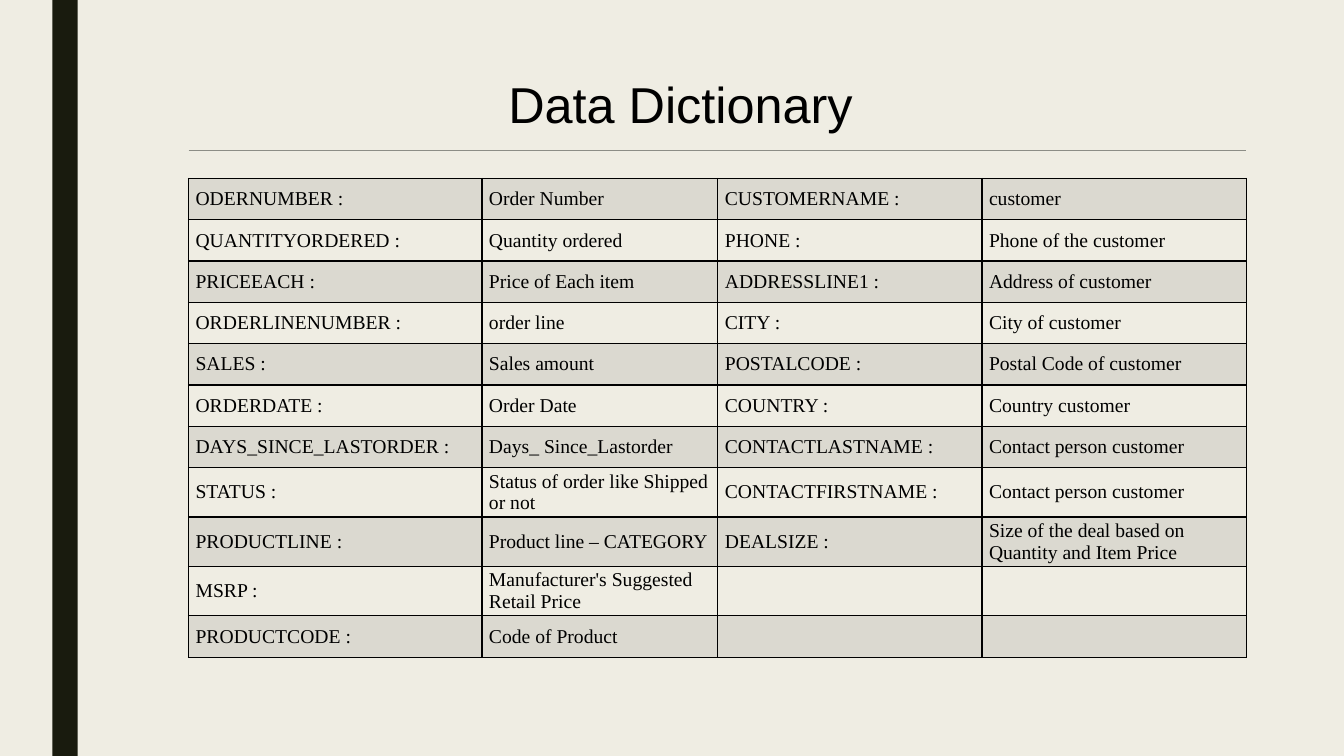
from lxml import etree
from pptx import Presentation
from pptx import util as u
from pptx.dml.color import RGBColor
from pptx.enum import shapes, text
from pptx.oxml.ns import qn

TITLE = "Data Dictionary"
FIELDS = [
    ("ODERNUMBER :", "Order Number", "CUSTOMERNAME :", "customer"),
    ("QUANTITYORDERED :", "Quantity ordered", "PHONE :", "Phone of the customer"),
    ("PRICEEACH :", "Price of Each item", "ADDRESSLINE1 :", "Address of customer"),
    ("ORDERLINENUMBER :", "order line", "CITY :", "City of customer"),
    ("SALES :", "Sales amount", "POSTALCODE :", "Postal Code of customer"),
    ("ORDERDATE :", "Order Date", "COUNTRY :", "Country customer"),
    ("DAYS_SINCE_LASTORDER :", "Days_ Since_Lastorder", "CONTACTLASTNAME :",
     "Contact person customer"),
    ("STATUS :", "Status of order like Shipped or not", "CONTACTFIRSTNAME :",
     "Contact person customer"),
    ("PRODUCTLINE :", "Product line – CATEGORY", "DEALSIZE :",
     "Size of the deal based on Quantity and Item Price"),
    ("MSRP :", "Manufacturer's Suggested Retail Price", "", ""),
    ("PRODUCTCODE :", "Code of Product", "", ""),
]
COLS = (2.91, 2.34, 2.62, 2.62)
HEAD_H, ROW_H = 0.28, 0.41
PAPER, DARK, GREY, BLACK = "EFEDE3", "191B0E", "8C8D86", "000000"
TITLE_FONT = {"name": "Arial", "size": u.Pt(36), "bold": False}
CELL_FONT = {"name": "Times New Roman", "size": u.Pt(14), "bold": False}
CELL_FORMAT = {
    "vertical_anchor": text.MSO_ANCHOR.MIDDLE,
    "margin_left": u.Inches(0.07), "margin_right": u.Inches(0.07),
    "margin_top": u.Inches(0.03), "margin_bottom": u.Inches(0.03),
}


def rgb(value):
    return RGBColor.from_string(value)


def apply(target, formats):
    for name, value in formats.items():
        setattr(target, name, value)


def write(p, words, font):
    r = p.add_run()
    r.text = words
    apply(r.font, font)
    r.font.color.rgb = rgb(BLACK)


def set_borders(cell, colors):
    """Colours run left, right, top, bottom; None hides the side."""
    tc_pr = cell._tc.get_or_add_tcPr()
    for i, (side, color) in enumerate(zip("LRTB", colors)):
        ln = etree.Element(qn(f"a:ln{side}"), w=str(u.Pt(1)))
        if color:
            fill = etree.SubElement(ln, qn("a:solidFill"))
            etree.SubElement(fill, qn("a:srgbClr"), val=color)
        else:
            etree.SubElement(ln, qn("a:noFill"))
        tc_pr.insert(i, ln)


def set_band(cell, shaded):
    if not shaded:
        cell.fill.background()
        return
    cell.fill.solid()
    cell.fill.fore_color.rgb = rgb(GREY)
    color = cell._tc.tcPr.find(".//" + qn("a:srgbClr"))
    etree.SubElement(color, qn("a:alpha"), val="20000")


# Slide and background
prs = Presentation()
prs.slide_width, prs.slide_height = u.Inches(13.33), u.Inches(7.5)
s = prs.slides.add_slide(prs.slide_layouts[5])
s.background.fill.solid()
s.background.fill.fore_color.rgb = rgb(PAPER)

# Side bar
bar = s.shapes.add_shape(shapes.MSO_SHAPE.RECTANGLE, u.Inches(0.52), 0,
                         u.Inches(0.25), prs.slide_height)
bar.shadow.inherit = False
bar.fill.solid()
bar.fill.fore_color.rgb = rgb(DARK)
bar.line.fill.background()

# Title
title = s.shapes.title
apply(title, {"left": u.Inches(1.5), "top": u.Inches(0.75),
              "width": u.Inches(10.5), "height": u.Inches(1.62)})
tf = title.text_frame
apply(tf, {"word_wrap": True, "auto_size": text.MSO_AUTO_SIZE.NONE,
           "vertical_anchor": text.MSO_ANCHOR.TOP})
p = tf.paragraphs[0]
apply(p, {"alignment": text.PP_ALIGN.CENTER, "line_spacing": 0.89})
write(p, TITLE, TITLE_FONT)

# Table: an empty heading row, then shaded and clear rows in turn
rows = [("",) * len(COLS)] + FIELDS
frame = s.shapes.add_table(len(rows), len(COLS), u.Inches(1.87), u.Inches(1.49),
                           u.Inches(sum(COLS)),
                           u.Inches(HEAD_H + ROW_H * len(FIELDS)))
table = frame.table
apply(table, {"first_row": False, "horz_banding": False})
for column, width in zip(table.columns, COLS):
    column.width = u.Inches(width)
for i, row in enumerate(rows):
    table.rows[i].height = u.Inches(ROW_H if i else HEAD_H)
    for j, words in enumerate(row):
        cell = table.cell(i, j)
        apply(cell, CELL_FORMAT)
        p = cell.text_frame.paragraphs[0]
        if words:
            write(p, words, CELL_FONT)
        else:
            etree.SubElement(p._p, qn("a:endParaRPr"), sz="1000")
        set_band(cell, i % 2 == 1)
        set_borders(cell, (BLACK,) * 4 if i else (None, None, GREY, BLACK))

prs.save("out.pptx")
